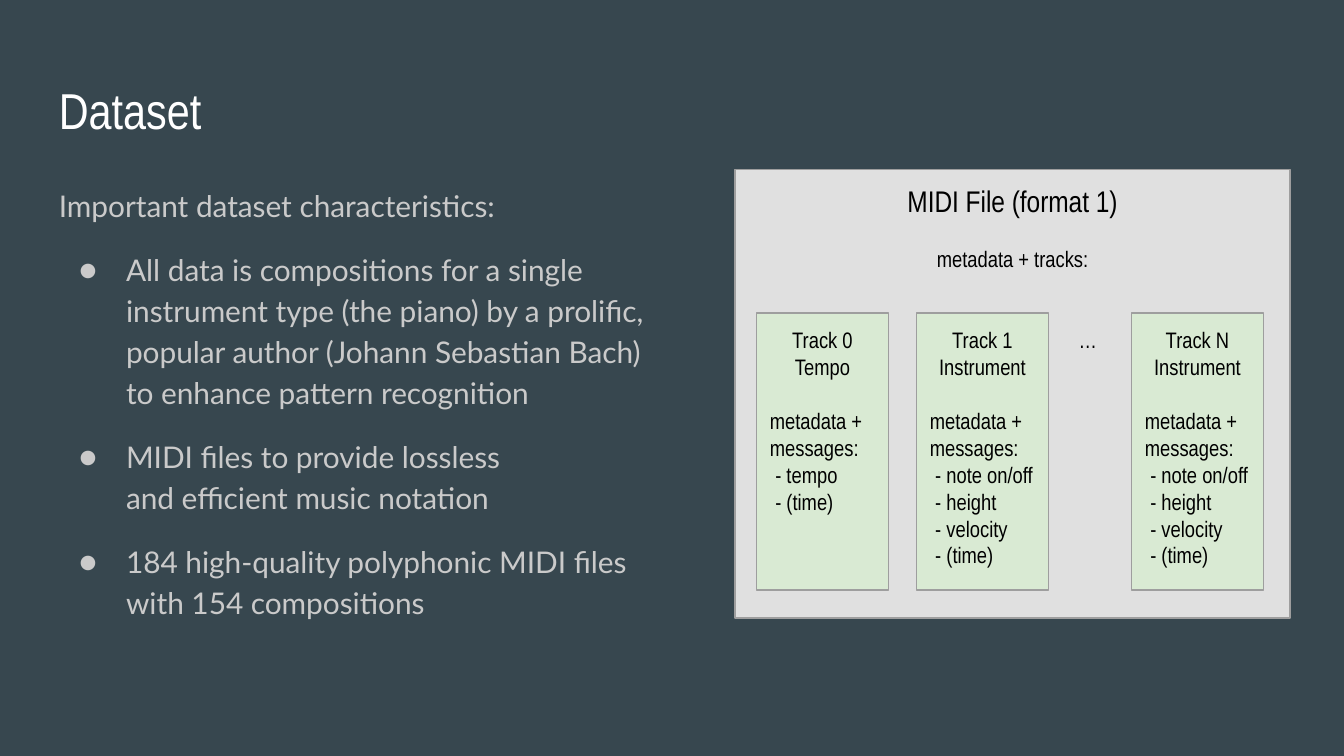
from lxml import etree
from pptx import Presentation
from pptx.dml.color import RGBColor
from pptx.enum.shapes import MSO_SHAPE
from pptx.enum.text import MSO_ANCHOR, PP_ALIGN
from pptx.oxml.ns import qn
from pptx.util import Inches, Pt

RECTANGLE = MSO_SHAPE.RECTANGLE
TOP = MSO_ANCHOR.TOP
LEFT, CENTER = PP_ALIGN.LEFT, PP_ALIGN.CENTER

NARROW, LATO = "Arial Narrow", "Lato"
BACKGROUND, WHITE, BLACK = "37474F", "FFFFFF", "000000"
BODY_GREY, PANEL_GREY, BORDER_GREY = "CACACA", "E0E0E0", "9E9E9E"
TRACK_GREEN = "D9EAD3"
INSET = 0.1
BLANK_LINE = 14.4  # points, one line of 12 pt text

CHARACTERISTICS = [
    "All data is compositions for a single instrument type (the piano) by a prolific, "
    "popular author (Johann Sebastian Bach)\vto enhance pattern recognition",
    "MIDI files to provide lossless\vand efficient music notation",
    "184 high-quality polyphonic MIDI files\vwith 154 compositions",
]
NOTE_MESSAGES = ["note on/off", "height", "velocity", "(time)"]
# Offset from the panel's left edge, name, kind, messages
TRACKS = [
    (0.16, "Track 0", "Tempo", ["tempo", "(time)"]),
    (1.35, "Track 1", "Instrument", NOTE_MESSAGES),
    (2.95, "Track N", "Instrument", NOTE_MESSAGES),
]
TRACK_WIDTH, TRACK_HEIGHT, TRACK_TOP = 0.98, 2.06, 1.07


def rgb(color):
    return RGBColor.from_string(color)


def prepare_frame(shape):
    frame = shape.text_frame
    frame.word_wrap = True
    frame.vertical_anchor = TOP
    frame.margin_left = frame.margin_right = Inches(INSET)
    frame.margin_top = frame.margin_bottom = Inches(INSET)
    return frame


def add_text_frame(slide, left, top, width, height):
    box = slide.shapes.add_textbox(*map(Inches, (left, top, width, height)))
    return prepare_frame(box)


def add_panel(slide, left, top, width, height, color):
    """Draw a bordered rectangle and return its text frame."""
    panel = slide.shapes.add_shape(
        RECTANGLE, *map(Inches, (left, top, width, height)))
    panel.shadow.inherit = False
    panel.fill.solid()
    panel.fill.fore_color.rgb = rgb(color)
    panel.line.color.rgb = rgb(BORDER_GREY)
    panel.line.width = Pt(0.75)
    return prepare_frame(panel)


def set_indent(paragraph, left, first=0):
    properties = paragraph._p.get_or_add_pPr()
    properties.set("marL", str(Inches(left)))
    properties.set("indent", str(Inches(first)))
    return properties


def add_bullet(paragraph, color, font):
    properties = set_indent(paragraph, 0.5, -0.35)
    bullet_color = etree.SubElement(properties, qn("a:buClr"))
    etree.SubElement(bullet_color, qn("a:srgbClr"), val=color)
    etree.SubElement(properties, qn("a:buFont"), typeface=font)
    etree.SubElement(properties, qn("a:buChar"), char="●")


def write(frame, text, size, color, font=NARROW, align=LEFT, before=0, bullet=False):
    """Fill the frame's empty first paragraph, or append a new one."""
    first = frame.paragraphs[0]
    paragraph = first if not first.text else frame.add_paragraph()
    paragraph.text = text
    if bullet:
        add_bullet(paragraph, color, font)
    paragraph.alignment = align
    if before:
        paragraph.space_before = Pt(before)
    paragraph.font.name = font
    paragraph.font.size = Pt(size)
    paragraph.font.color.rgb = rgb(color)
    return paragraph


def add_title(slide, left, top, width, height):
    frame = add_text_frame(slide, left, top, width, height)
    write(frame, "Dataset", 27, WHITE)


def add_characteristics(slide, left, top, width, height):
    frame = add_text_frame(slide, left, top, width, height)
    write(frame, "Important dataset characteristics:", 16, BODY_GREY, LATO)
    for characteristic in CHARACTERISTICS:
        write(frame, characteristic, 16, BODY_GREY, LATO, before=12, bullet=True)
    for paragraph in frame.paragraphs:
        paragraph.line_spacing = 1.15


def add_track(slide, left, top, name, kind, messages):
    frame = add_panel(slide, left, top, TRACK_WIDTH, TRACK_HEIGHT, TRACK_GREEN)
    for heading in (name, kind):
        write(frame, heading, 12, BLACK, align=CENTER)
    write(frame, "metadata +\vmessages:", 12, BLACK, before=BLANK_LINE)
    for message in messages:
        set_indent(write(frame, f"- {message}", 12, BLACK), 0.04)


def add_midi_file(slide, left, top, width, height):
    frame = add_panel(slide, left, top, width, height, PANEL_GREY)
    write(frame, "MIDI File (format 1)", 16, BLACK, align=CENTER)
    write(frame, "metadata + tracks:", 12, BLACK, align=CENTER, before=BLANK_LINE)
    # The indent centres the ellipsis between the last two tracks
    ellipsis = write(frame, "…", 12, BLACK, align=CENTER, before=2 * BLANK_LINE)
    set_indent(ellipsis, 1.12)

    for offset, name, kind, messages in TRACKS:
        add_track(slide, left + offset, top + TRACK_TOP, name, kind, messages)


def main():
    presentation = Presentation()
    presentation.slide_width = Inches(10)
    presentation.slide_height = presentation.slide_width * 9 // 16
    slide = presentation.slides.add_slide(presentation.slide_layouts[6])
    slide.background.fill.solid()
    slide.background.fill.fore_color.rgb = rgb(BACKGROUND)

    add_title(slide, 0.34, 0.49, 9.26, 0.63)
    add_characteristics(slide, 0.34, 1.26, 4.66, 4.1)
    add_midi_file(slide, 5.47, 1.26, 4.13, 3.34)
    presentation.save("out.pptx")


if __name__ == "__main__":
    main()
